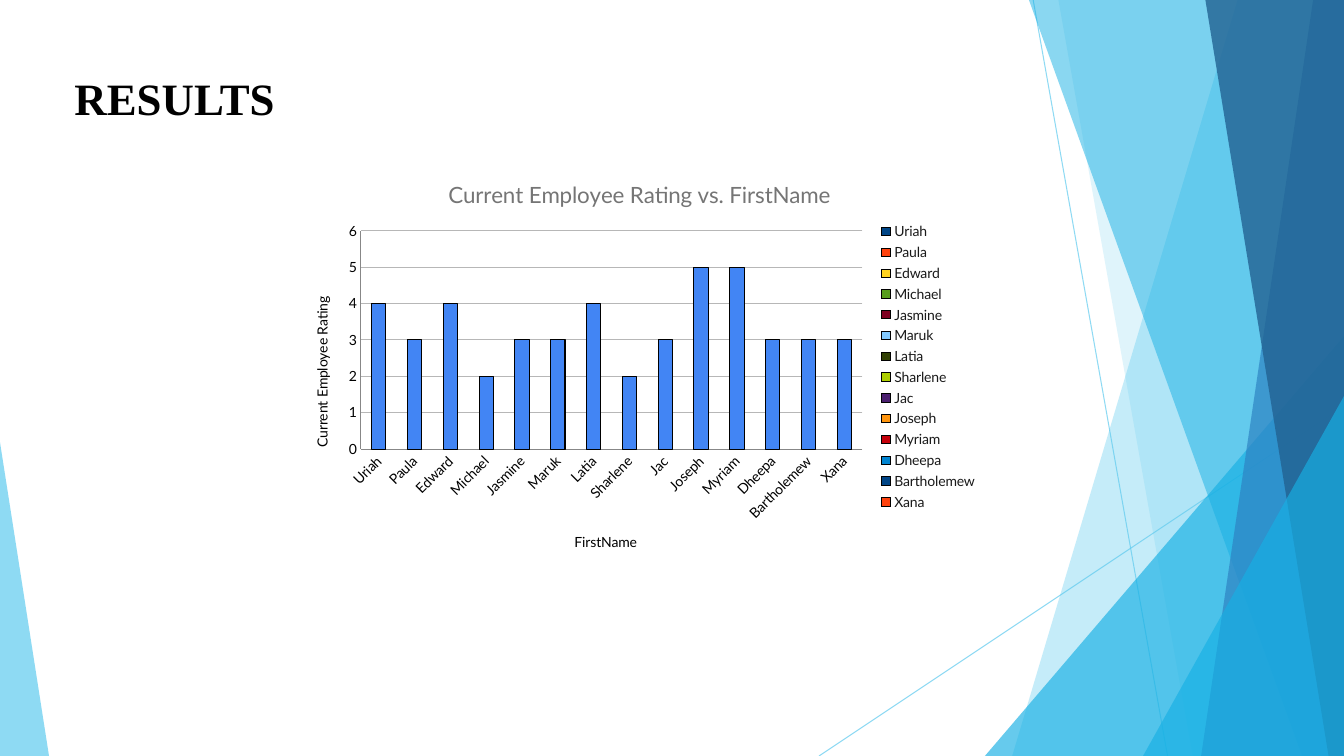
from lxml import etree
from pptx import Presentation
from pptx.chart.data import CategoryChartData
from pptx.dml.color import RGBColor
from pptx.enum.chart import XL_CHART_TYPE as Kind, XL_LEGEND_POSITION as Side, XL_TICK_MARK as Tick
from pptx.enum.shapes import MSO_CONNECTOR as Link, MSO_SHAPE as Form
from pptx.enum.text import MSO_ANCHOR as Anchor, PP_ALIGN as Align
from pptx.oxml import parse_xml
from pptx.oxml.ns import nsdecls, qn
from pptx.util import Pt

WIDE, HIGH = 960, 540
HUES = {"sky": "5FCBEF", "cyan": "17B0E4", "blue": "2E83C3", "navy": "226292",
        "bar": "4285F4", "black": "000000", "white": "FFFFFF",
        "head": "757575", "key": "1A1A1A", "grid": "B7B7B7"}


def paint(fill, hue, alpha):
    """Fill with a solid colour at the given opacity in percent."""
    fill.solid()
    fill.fore_color.rgb = RGBColor.from_string(HUES[hue])
    tint = fill._xPr.find(".//" + qn("a:srgbClr"))
    etree.SubElement(tint, qn("a:alpha")).set("val", str(alpha * 1000))


def style(font, size, hue, face="Lato", bold=False):
    font.size, font.name, font.bold = Pt(size), face, bold
    font.color.rgb = RGBColor.from_string(HUES[hue])


deck = Presentation()
deck.slide_width, deck.slide_height = Pt(WIDE), Pt(HIGH)
slide = deck.slides.add_slide(deck.slide_layouts[5])
shapes = slide.shapes

# Thin lines
for ends in [(738, 0, 834, HIGH), (WIDE, 290, 585, HIGH)]:
    line = shapes.add_connector(Link.STRAIGHT, *[Pt(v) for v in ends])
    line.line.width = Pt(0.75)
    paint(line.line.fill, "sky", 70)
    etree.SubElement(line._element.spPr, qn("a:effectLst"))

# Bands run from a top x and a bottom x to the right edge;
# wedges have left, top, width and the tip position, and end at the bottom.
facets = [("band", (884, 723), "sky", 36),
          ("band", (756, 852), "sky", 20),
          ("wedge", (703.5, 240, 256.5, 1), "cyan", 66),
          ("band", (735, 930), "cyan", 50),
          ("band", (938, 858), "blue", 70),
          ("band", (861, 949), "navy", 80),
          ("wedge", (816.5, 283, 143.5, 1), "cyan", 66),
          ("wedge", (0, 316, 35, 0), "sky", 70)]
for kind, spot, hue, alpha in facets:
    if kind == "band":
        top, base = spot
        pen = shapes.build_freeform(top, 0, scale=Pt(1))
        pen.add_line_segments([(WIDE, 0), (WIDE, HIGH), (base, HIGH)])
        facet = pen.convert_to_shape()
    else:
        left, top, width, tip = spot
        facet = shapes.add_shape(Form.ISOSCELES_TRIANGLE, Pt(left), Pt(top),
                                 Pt(width), Pt(HIGH - top))
        facet.adjustments[0] = tip
    paint(facet.fill, hue, alpha)
    facet.line.fill.background()
    facet.shadow.inherit = False

# Title
title = shapes.title
title.left, title.top, title.width, title.height = Pt(46), Pt(47), Pt(546), Pt(46)
frame = title.text_frame
frame.word_wrap = True
frame.vertical_anchor = Anchor.MIDDLE
para = frame.paragraphs[0]
para.alignment = Align.LEFT
run = para.add_run()
run.text = "RESULTS"
style(run.font, 32, "black", "Times New Roman", True)

# Chart
ratings = {"Uriah": 4, "Paula": 3, "Edward": 4, "Michael": 2, "Jasmine": 3,
           "Maruk": 3, "Latia": 4, "Sharlene": 2, "Jac": 3, "Joseph": 5,
           "Myriam": 5, "Dheepa": 3, "Bartholemew": 3, "Xana": 3}
data = CategoryChartData()
data.categories = list(ratings)
data.add_series("Current Employee Rating", list(ratings.values()))
chart = shapes.add_chart(Kind.COLUMN_CLUSTERED, Pt(208), Pt(115),
                         Pt(497.5), Pt(294), data).chart
style(chart.font, 10, "black")

names, marks = chart.category_axis, chart.value_axis
for owner, text, size, hue in [
        (chart, "Current Employee Rating vs. FirstName", 16, "head"),
        (names, "FirstName", 10, "black"),
        (marks, "Current Employee Rating", 10, "black")]:
    owner.has_title = True
    label = owner.chart_title if owner is chart else owner.axis_title
    run = label.text_frame.paragraphs[0].add_run()
    run.text = text
    style(run.font, size, hue)

for axis in (names, marks):
    axis.major_tick_mark = axis.minor_tick_mark = Tick.NONE
    style(axis.tick_labels.font, 10, "black")
names._element.find(qn("c:txPr")).find(qn("a:bodyPr")).set("rot", "-2700000")
marks.minimum_scale, marks.maximum_scale, marks.major_unit = 0, 6, 1
grid = marks.major_gridlines.format.line
grid.width = Pt(0.75)
grid.color.rgb = RGBColor.from_string(HUES["grid"])

plot = chart.plots[0]
plot.gap_width = 150
plot.vary_by_categories = True
bars = plot.series[0].format
bars.fill.solid()
bars.fill.fore_color.rgb = RGBColor.from_string(HUES["bar"])
bars.line.width = Pt(0.75)
bars.line.color.rgb = RGBColor.from_string(HUES["black"])

chart.has_legend = True
chart.legend.position = Side.RIGHT
chart.legend.include_in_layout = False
style(chart.legend.font, 10, "key")

# Fixed inner plot area and white chart ground
area = chart._chartSpace.chart.plotArea
for old in area.findall(qn("c:layout")):
    area.remove(old)
sizes = "".join(f'<c:{tag} val="{val}"/>' for tag, val in
                [("layoutTarget", "inner"), ("xMode", "edge"), ("yMode", "edge"),
                 ("x", 0.1), ("y", 0.17), ("w", 0.72), ("h", 0.53)])
area.insert(0, parse_xml(f'<c:layout {nsdecls("c")}><c:manualLayout>{sizes}'
                         '</c:manualLayout></c:layout>'))
chart._chartSpace.chart.addnext(parse_xml(
    f'<c:spPr {nsdecls("c", "a")}><a:solidFill><a:srgbClr val="{HUES["white"]}"/>'
    '</a:solidFill><a:ln><a:noFill/></a:ln></c:spPr>'))

deck.save("out.pptx")
